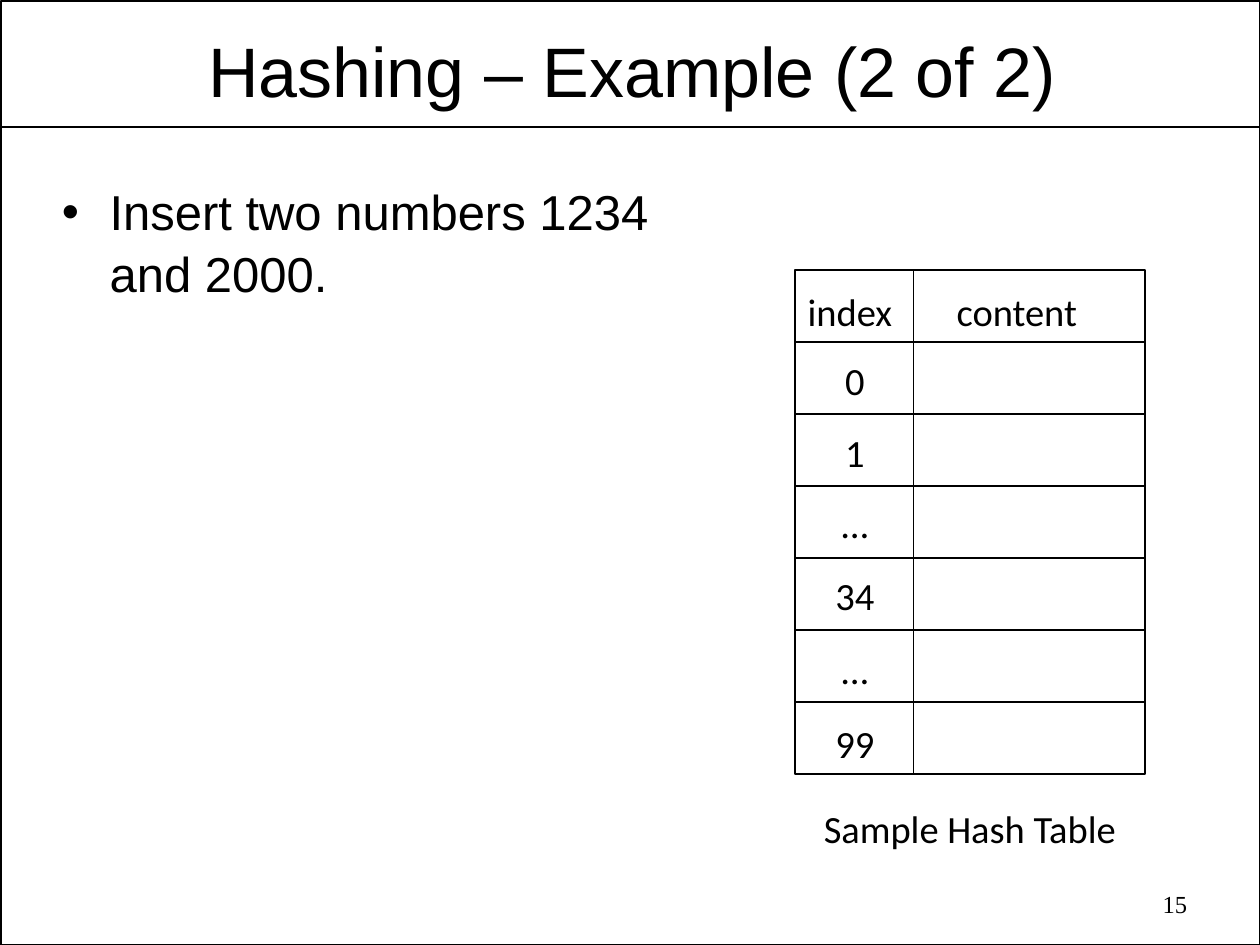
from lxml import etree
from pptx import Presentation, util as u
from pptx.dml.color import RGBColor
from pptx.enum import shapes, text
from pptx.oxml.ns import qn

COLORS = {"ink": "000000"}
COLUMNS, ROWS = 100, 75
MARGINS = ("margin_left", "margin_top", "margin_right", "margin_bottom")


class SlideBuilder:
    fonts = {
        "title": {"name": "Arial", "size": u.Pt(40)},
        "body": {"name": "Arial", "size": u.Pt(28)},
        "table": {"name": "Calibri", "size": u.Pt(22)},
        "number": {"name": "Times New Roman", "size": u.Pt(14)},
    }

    def __init__(self, deck):
        self.column = deck.slide_width / COLUMNS
        self.row = deck.slide_height / ROWS
        self.slide = deck.slides.add_slide(deck.slide_layouts[1])

    def place(self, left, top, width, height):
        return [u.Emu(round(value)) for value in (
            left * self.column, top * self.row, width * self.column, height * self.row)]

    def fill_text(self, box, words, style, frame_format, align):
        frame = box.text_frame
        for name, value in frame_format.items():
            setattr(frame, name, value)
        para = frame.paragraphs[0]
        para.alignment = align
        span = para.add_run()
        span.text = words
        for name, value in self.fonts[style].items():
            setattr(span.font, name, value)
        span.font.color.rgb = RGBColor.from_string(COLORS["ink"])
        return para

    def move(self, box, area):
        for name, value in zip(("left", "top", "width", "height"), self.place(*area)):
            setattr(box, name, value)

    def ink_line(self, line, weight):
        line.color.rgb = RGBColor.from_string(COLORS["ink"])
        line.width = u.Pt(weight)

    def title(self, words, area):
        box = self.slide.shapes.title
        self.move(box, area)
        frame_format = dict(zip(MARGINS, map(u.Inches, (0.07, 0.03, 0.07, 0.03))))
        frame_format.update(vertical_anchor=text.MSO_ANCHOR.MIDDLE,
                            auto_size=text.MSO_AUTO_SIZE.NONE)
        self.fill_text(box, words, "title", frame_format, text.PP_ALIGN.CENTER)

    def bullet(self, words, area):
        box = self.slide.placeholders[1]
        self.move(box, area)
        frame_format = {"vertical_anchor": text.MSO_ANCHOR.TOP,
                        "auto_size": text.MSO_AUTO_SIZE.NONE}
        para = self.fill_text(box, words, "body", frame_format, text.PP_ALIGN.LEFT)
        para.space_before = u.Pt(0)
        para.line_spacing = 1.05
        properties = para._p.get_or_add_pPr()
        indent = u.Inches(0.38)
        properties.set("marL", str(indent))
        properties.set("indent", str(-indent))
        etree.SubElement(properties, qn("a:buFont")).set("typeface", "Arial")
        etree.SubElement(properties, qn("a:buChar")).set("char", "•")

    def label(self, words, area, style="table", align=text.PP_ALIGN.CENTER, wrap=False):
        box = self.slide.shapes.add_textbox(*self.place(*area))
        self.fill_text(box, words, style, {"word_wrap": wrap}, align)

    def rectangle(self, area, weight):
        box = self.slide.shapes.add_shape(shapes.MSO_SHAPE.RECTANGLE, *self.place(*area))
        box.shadow.inherit = False
        box.fill.background()
        self.ink_line(box.line, weight)

    def rule(self, left, top, right, bottom, weight):
        rule = self.slide.shapes.add_connector(
            shapes.MSO_CONNECTOR.STRAIGHT, *self.place(left, top, right, bottom))
        self.ink_line(rule.line, weight)
        etree.SubElement(rule._element.spPr, qn("a:effectLst"))


def main():
    deck = Presentation()
    deck.slide_width, deck.slide_height = u.Inches(10), u.Inches(7.5)
    page = SlideBuilder(deck)

    page.rectangle((0.1, 0.1, 99.9, 74.9), 1)
    page.rule(0.1, 10.1, 99.9, 10.1, 1)
    page.title("Hashing – Example (2 of 2)", (5.3, 1.9, 89.7, 7.2))
    page.bullet("Insert two numbers 1234 and 2000.", (3.9, 13.7, 52.4, 11.1))

    table_left, table_top, table_width, row_height = 63.1, 21.4, 27.8, 5.72
    label_height, header_offset = 4.7, 1
    index_center, content_center = 67.85, 80.7
    index_rows = [("index", 8.7, header_offset), ("0", 3.5, 0.7), ("1", 3.5, 0.7),
                  ("…", 4.1, 0.6), ("34", 5.1, 0.6), ("…", 4.1, 0.8), ("99", 5.1, 0.9)]
    for number, (words, width, offset) in enumerate(index_rows):
        top = table_top + number * row_height
        page.rectangle((table_left, top, table_width, row_height), 1.25)
        left = min(index_center - width / 2, 72.5 - width) if number else table_left
        page.label(words, (left, top + offset, width, label_height))
    page.label("content", (content_center - 5.8, table_top + header_offset, 11.6, label_height))
    page.rule(72.5, table_top + len(index_rows) * row_height, 72.5, table_top, 0.75)

    page.label("Sample Hash Table", (64.4, 63.4, 25.8, label_height),
               align=text.PP_ALIGN.LEFT, wrap=True)
    page.label("15", (71.8, 70.1, 23.4, 3.6), "number", text.PP_ALIGN.RIGHT, True)
    deck.save("out.pptx")


if __name__ == "__main__":
    main()
